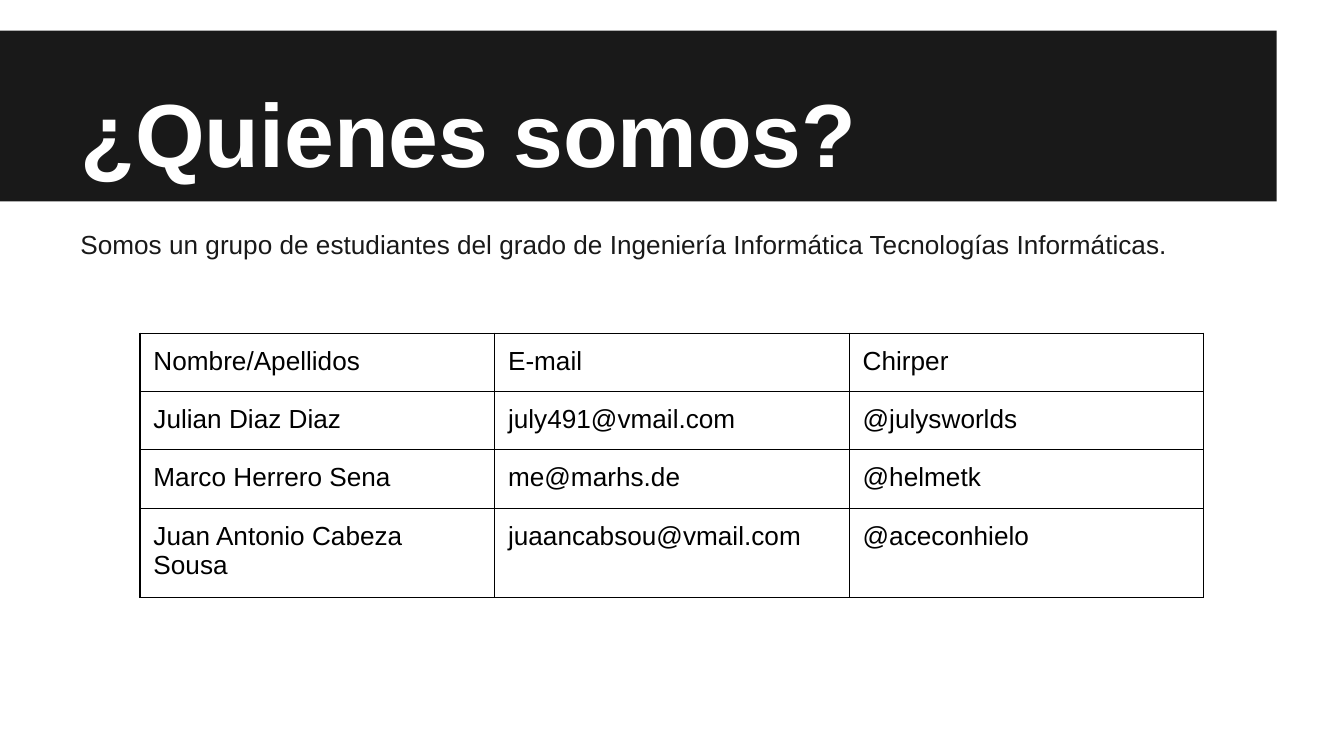
"""Build the team introduction slide with its contact table."""
import lxml.etree
import pptx
import pptx.dml.color
import pptx.enum.shapes
import pptx.enum.text
import pptx.oxml.ns
import pptx.util

Pt = pptx.util.Pt
qn = pptx.oxml.ns.qn
RGBColor = pptx.dml.color.RGBColor

CHARCOAL = RGBColor(0x19, 0x19, 0x19)
WHITE = RGBColor(0xFF, 0xFF, 0xFF)
BLACK = RGBColor(0x00, 0x00, 0x00)

INSET = Pt(7.2)
COLUMN_WIDTH = Pt(190)
ROW_HEIGHT = Pt(30.24)
BORDER_WIDTH = Pt(0.75)

CONTACTS = [
    ("Nombre/Apellidos", "E-mail", "Chirper"),
    ("Julian Diaz Diaz", "july491@vmail.com", "@julysworlds"),
    ("Marco Herrero Sena", "me@marhs.de", "@helmetk"),
    ("Juan Antonio Cabeza Sousa", "juaancabsou@vmail.com", "@aceconhielo"),
]


def write(frame, text, size, color, bold=False):
    frame.text = text
    frame.word_wrap = True
    paragraph = frame.paragraphs[0]
    paragraph.alignment = pptx.enum.text.PP_ALIGN.LEFT
    font = paragraph.font
    font.name = "Arial"
    font.size = Pt(size)
    font.bold = bold
    font.color.rgb = color


def set_insets(frame):
    frame.margin_left = frame.margin_right = INSET
    frame.margin_top = frame.margin_bottom = INSET


def add_heading(slide, text):
    heading = slide.shapes.title
    heading.left, heading.top = Pt(36), Pt(16.5)
    heading.width, heading.height = Pt(648), Pt(90)
    frame = heading.text_frame
    write(frame, text, 48, WHITE, bold=True)
    set_insets(frame)
    frame.auto_size = pptx.enum.text.MSO_AUTO_SIZE.NONE
    frame.vertical_anchor = pptx.enum.text.MSO_ANCHOR.BOTTOM

    band = slide.shapes.add_shape(
        pptx.enum.shapes.MSO_SHAPE.RECTANGLE, 0, Pt(16.5), Pt(684), Pt(91.5)
    )
    band.shadow.inherit = False
    band.fill.solid()
    band.fill.fore_color.rgb = CHARCOAL
    band.line.fill.background()
    heading.element.addprevious(band.element)


def add_introduction(slide, text):
    introduction = slide.shapes.add_textbox(Pt(36), Pt(115.2), Pt(648), Pt(273))
    write(introduction.text_frame, text, 14, CHARCOAL)
    set_insets(introduction.text_frame)


def add_borders(cell):
    properties = cell._tc.get_or_add_tcPr()
    for side in ("a:lnL", "a:lnR", "a:lnT", "a:lnB"):
        border = lxml.etree.SubElement(properties, qn(side), w=str(BORDER_WIDTH))
        fill = lxml.etree.SubElement(border, qn("a:solidFill"))
        lxml.etree.SubElement(fill, qn("a:srgbClr"), val=str(BLACK))


def add_contacts(slide, contacts):
    row_count, column_count = len(contacts), len(contacts[0])
    table = slide.shapes.add_table(
        row_count, column_count, Pt(75), Pt(178.5),
        COLUMN_WIDTH * column_count, ROW_HEIGHT * row_count,
    ).table
    table.first_row = table.horz_banding = False
    for column in table.columns:
        column.width = COLUMN_WIDTH
    for row, contact in zip(table.rows, contacts):
        row.height = ROW_HEIGHT
        for cell, text in zip(row.cells, contact):
            write(cell.text_frame, text, 14, BLACK)
            set_insets(cell)
            add_borders(cell)
            cell.fill.background()


def main():
    deck = pptx.Presentation()
    deck.slide_width, deck.slide_height = Pt(720), Pt(405)
    slide = deck.slides.add_slide(deck.slide_layouts[5])
    add_heading(slide, "¿Quienes somos?")
    add_introduction(
        slide,
        "Somos un grupo de estudiantes del grado de Ingeniería Informática "
        "Tecnologías Informáticas.",
    )
    add_contacts(slide, CONTACTS)
    deck.save("out.pptx")


if __name__ == "__main__":
    main()
